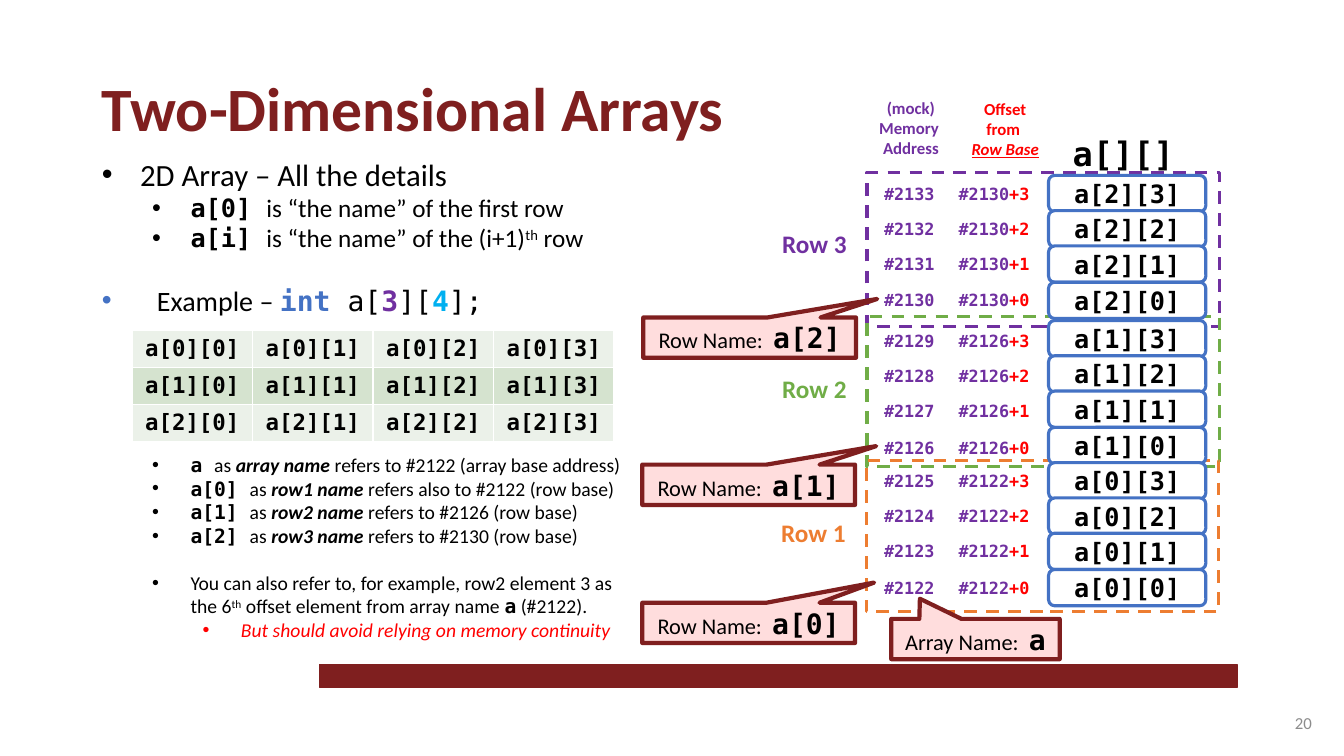
from dataclasses import dataclass, replace

from lxml import etree
from pptx import Presentation
from pptx.dml.color import RGBColor
from pptx.enum.dml import MSO_LINE
from pptx.enum.shapes import MSO_SHAPE
from pptx.enum.text import MSO_ANCHOR, MSO_AUTO_SIZE, PP_ALIGN
from pptx.oxml.ns import qn
from pptx.util import Emu, Pt

LEFT, CENTER, RIGHT = PP_ALIGN.LEFT, PP_ALIGN.CENTER, PP_ALIGN.RIGHT
TOP, MIDDLE = MSO_ANCHOR.TOP, MSO_ANCHOR.MIDDLE
RECT, ROUNDED = MSO_SHAPE.RECTANGLE, MSO_SHAPE.ROUNDED_RECTANGLE
CALLOUT = MSO_SHAPE.RECTANGULAR_CALLOUT
DASH, NO_AUTOFIT = MSO_LINE.DASH, MSO_AUTO_SIZE.NONE

EMU_PER_PX = 9144  # 100 px to the inch
SANS, MONO, COURIER = "Calibri", "DejaVu Sans Mono", "Courier New"
BLACK, WHITE, RED, MAROON, PINK = "000000", "FFFFFF", "FF0000", "7F1F1F", "FFDDDD"
PURPLE, GREEN, ORANGE, BLUE, SKY = "7030A0", "70AD47", "ED7D31", "4472C4", "00B0F0"
ROWS, COLS, BASE_ADDRESS = 3, 4, 2122


@dataclass(frozen=True)
class Run:
    text: str
    size: float
    color: str = BLACK
    font: str = SANS
    bold: bool = False
    italic: bool = False
    underline: bool = False
    raised: bool = False


@dataclass(frozen=True)
class Bullet:
    runs: list[Run]
    level: int = 0
    gap: float = 0  # points above


@dataclass(frozen=True)
class Box:
    x: int
    y: int
    w: int
    h: int


@dataclass(frozen=True)
class MemoryRow:
    index: int
    color: str
    frame: Box
    cells_top: int
    addresses_top: int
    callout: Box
    tip: tuple[float, float]


MEMORY_ROWS = [
    MemoryRow(2, PURPLE, Box(860, 171, 350, 153), 174, 177, Box(638, 315, 211, 40), (0.6, -0.96)),
    MemoryRow(1, GREEN, Box(860, 314, 350, 149), 318, 323, Box(637, 461, 211, 40), (0.6, -0.96)),
    MemoryRow(0, ORANGE, Box(859, 457, 350, 150), 459, 462, Box(637, 598, 211, 40), (0.59, -1)),
]


def px(n: int) -> Emu:
    return Emu(n * EMU_PER_PX)


def rgb(color: str) -> RGBColor:
    return RGBColor.from_string(color)


def code(text: str, size: float, color: str = BLACK) -> Run:
    return Run(text, size, color, MONO, bold=True)


def emphasis(text: str, size: float) -> Run:
    return Run(text, size, bold=True, italic=True)


def emu_box(box: Box) -> tuple[Emu, Emu, Emu, Emu]:
    return px(box.x), px(box.y), px(box.w), px(box.h)


def place(sp, box: Box) -> None:
    sp.left, sp.top, sp.width, sp.height = emu_box(box)


def add_runs(p, runs: list[Run], align=LEFT) -> None:
    p.alignment = align
    for run in runs:
        for i, line in enumerate(run.text.split("\n")):
            if i:
                p.add_line_break()
            r = p.add_run()
            r.text = line
            f = r.font
            f.name, f.size, f.color.rgb = run.font, Pt(run.size), rgb(run.color)
            f.bold, f.italic, f.underline = run.bold, run.italic, run.underline
            if run.raised:
                r._r.get_or_add_rPr().set("baseline", "30000")


def add_text(slide, box: Box, runs: list[Run], align=LEFT, anchor=TOP) -> None:
    tf = slide.shapes.add_textbox(*emu_box(box)).text_frame
    tf.word_wrap, tf.vertical_anchor = True, anchor
    add_runs(tf.paragraphs[0], runs, align)


def add_box(slide, kind, box: Box, line: str, width: float, fill: str = "",
            runs: list[Run] | None = None):
    sp = slide.shapes.add_shape(kind, *emu_box(box))
    sp.shadow.inherit = False
    sp.line.color.rgb, sp.line.width = rgb(line), Pt(width)
    if fill:
        sp.fill.solid()
        sp.fill.fore_color.rgb = rgb(fill)
    else:
        sp.fill.background()
    if runs:
        sp.text_frame.vertical_anchor = MIDDLE
        add_runs(sp.text_frame.paragraphs[0], runs, CENTER)
    return sp


def add_callout(slide, box: Box, tip: tuple[float, float], label: str, name: str) -> None:
    sp = add_box(slide, CALLOUT, box, MAROON, 3, PINK, [Run(label, 16), code(name, 20)])
    sp.adjustments[0], sp.adjustments[1] = tip


def body_bullets() -> list[Bullet]:
    big, small = Run("", 18), Run("", 14)
    names = [("a ", "array name", " refers to #2122 (array base address)"),
             ("a[0] ", "row1 name", " refers also to #2122 (row base)"),
             ("a[1] ", "row2 name", " refers to #2126 (row base)"),
             ("a[2] ", "row3 name", " refers to #2130 (row base)")]
    return [
        Bullet([Run("2D Array – All the details", 22)]),
        Bullet([code("a[0] ", 18), Run("is “the name” of the first row", 18)], 1),
        Bullet([code("a[i] ", 18), Run("is “the name” of the (i+1)", 18),
                replace(big, text="th", raised=True), Run(" row", 18)], 1),
        Bullet([Run(" ", 20, BLUE, COURIER, bold=True), Run("Example – ", 20),
                code("int", 20, BLUE), Run(" a[", 20, font=MONO), code("3", 20, PURPLE),
                Run("][", 20, font=MONO), code("4", 20, SKY), Run("];", 20, font=MONO)], gap=22),
        *(Bullet([code(name, 14), Run("as ", 14), emphasis(role, 14), Run(meaning, 14)],
                 1, 0 if i else 97) for i, (name, role, meaning) in enumerate(names)),
        Bullet([Run("You can also refer to, for example, row2 element 3 as the 6", 14),
                replace(small, text="th", raised=True),
                Run(" offset element from array name ", 14), code("a", 14),
                Run(" (#2122).", 14)], 1, 17),
        Bullet([Run("But should avoid relying on memory continuity", 14, RED, italic=True)], 2),
    ]


def fill_body(body) -> None:
    place(body, Box(91, 149, 545, 528))
    tf = body.text_frame
    tf.auto_size = NO_AUTOFIT
    for i, bullet in enumerate(body_bullets()):
        p = tf.add_paragraph() if i else tf.paragraphs[0]
        p.level, p.space_before = bullet.level, Pt(bullet.gap)
        pPr = p._p.get_or_add_pPr()
        pPr.set("marL", str(px(38 + 50 * bullet.level)))
        pPr.set("indent", str(px(-38)))
        etree.SubElement(pPr, qn("a:buFont")).set("typeface", "Arial")
        etree.SubElement(pPr, qn("a:buChar")).set("char", "•")
        add_runs(p, bullet.runs)


def add_array_table(slide) -> None:
    table = slide.shapes.add_table(ROWS, COLS, *emu_box(Box(131, 328, 478, 108))).table
    for i in range(ROWS):
        for j in range(COLS):
            cell = table.cell(i, j)
            cell.fill.solid()
            cell.fill.fore_color.rgb = rgb("D5E3CF" if i % 2 else "EBF1E9")
            add_runs(cell.text_frame.paragraphs[0], [code(f"a[{i}][{j}]", 16)], CENTER)


def add_memory_cells(slide, row: MemoryRow) -> None:
    base = BASE_ADDRESS + COLS * row.index
    for i in range(COLS):
        j, drop = COLS - 1 - i, i * 106 // 3
        y = row.addresses_top + drop
        add_box(slide, ROUNDED, Box(1040, row.cells_top + drop, 156, 36), BLUE, 2.25, WHITE,
                [code(f"a[{row.index}][{j}]", 18)])
        add_text(slide, Box(867, y, 77, 30), [code(f"#{base + j}", 12, PURPLE)])
        add_text(slide, Box(941, y, 93, 30),
                 [code(f"#{base}", 12, PURPLE), code(f"+{j}", 12, RED)])


def main() -> None:
    prs = Presentation()
    prs.slide_width, prs.slide_height = px(1333), px(750)
    slide = prs.slides.add_slide(prs.slide_layouts[1])
    title, body = slide.placeholders

    add_box(slide, RECT, Box(317, 659, 910, 23), MAROON, 1, MAROON)
    place(title, Box(91, 64, 643, 84))
    title.text_frame.word_wrap = False
    title.text_frame.auto_size = NO_AUTOFIT
    add_runs(title.text_frame.paragraphs[0],
             [Run("Two-Dimensional Arrays", 44, MAROON, bold=True)])
    fill_body(body)
    add_text(slide, Box(1011, 697, 300, 40), [Run("20", 12, "8C8C8C")], RIGHT, MIDDLE)
    add_array_table(slide)

    add_text(slide, Box(1054, 127, 128, 50), [code("a[][]", 24)])
    add_text(slide, Box(862, 92, 83, 71),
             [Run("(mock)\nMemory \nAddress", 12, PURPLE, bold=True)], CENTER)
    heading = Run("Offset from \n", 12, RED, bold=True)
    add_text(slide, Box(952, 93, 90, 71),
             [heading, replace(heading, text="Row Base", italic=True, underline=True)], CENTER)

    for row in MEMORY_ROWS:
        add_box(slide, RECT, row.frame, row.color, 2.25).line.dash_style = DASH
        add_text(slide, Box(row.frame.x - 94, row.frame.y + 51, 96, 40),
                 [Run(f"Row {row.index + 1}", 18, row.color, bold=True)])
    for row in MEMORY_ROWS:
        add_memory_cells(slide, row)
    add_callout(slide, Box(884, 614, 167, 40), (-0.33, -1), "Array Name:  ", "a")
    for row in MEMORY_ROWS:
        add_callout(slide, row.callout, row.tip, "Row Name:  ", f"a[{row.index}]")
    prs.save("out.pptx")


if __name__ == "__main__":
    main()
